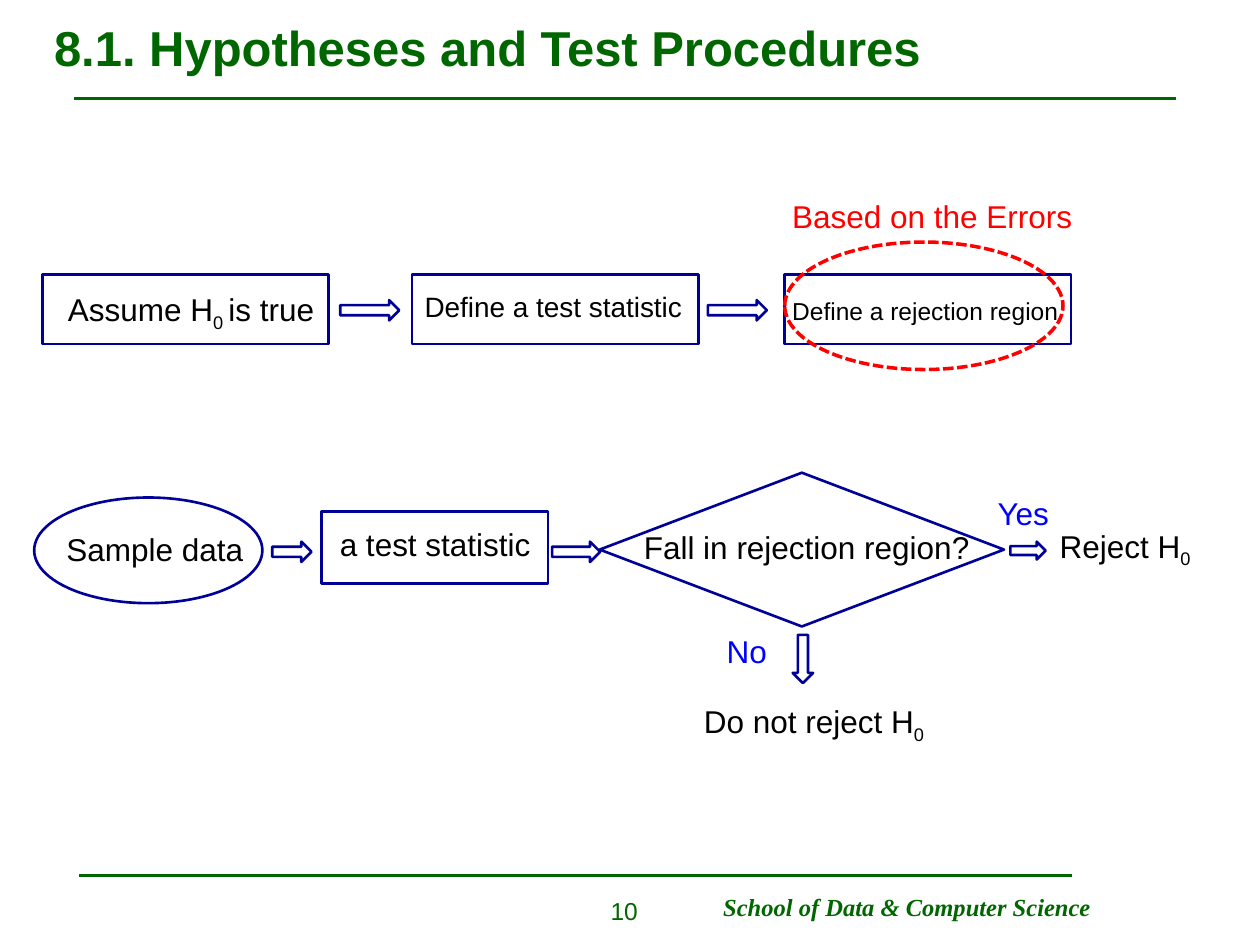
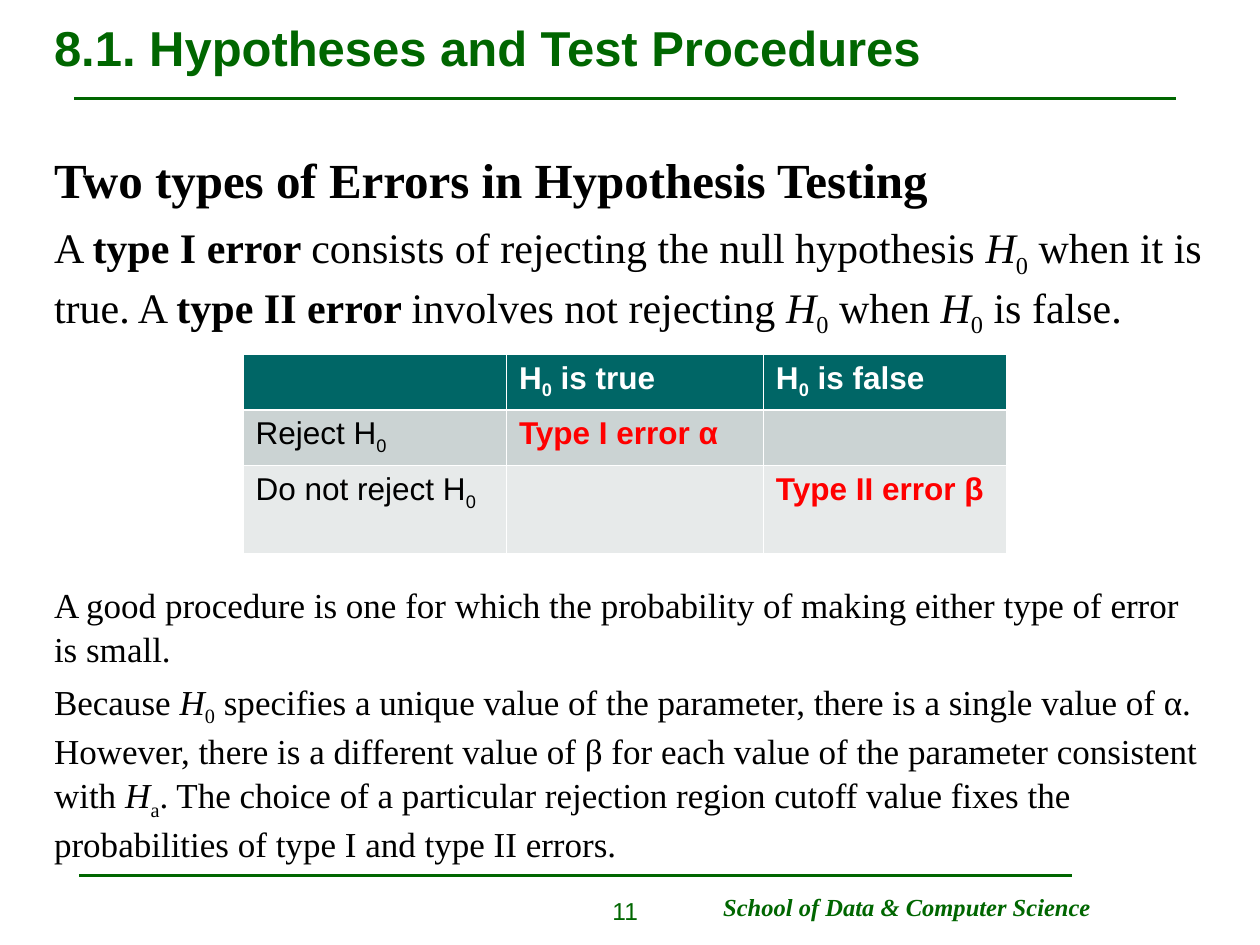
from dataclasses import dataclass
from lxml.etree import SubElement as Sub
from pptx import Presentation
from pptx.dml.color import RGBColor as RGB
from pptx.enum.dml import MSO_LINE as Dash
from pptx.enum.shapes import MSO_CONNECTOR as Conn, MSO_SHAPE as Kind
from pptx.enum.text import MSO_ANCHOR as Anchor, PP_ALIGN as Align
from pptx.oxml.ns import qn
from pptx.util import Cm, Pt


@dataclass(frozen=True)
class Theme:
    green: str = "006600"
    navy: str = "000099"
    blue: str = "0000FF"
    red: str = "FF0000"
    black: str = "000000"
    white: str = "FFFFFF"
    bands: tuple = ("006666", "CBD3D3", "E7EAEA")
    sans: str = "Arial"
    serif: str = "Times New Roman"
    title: int = 28
    lead: int = 24
    body: int = 20
    label: int = 18
    mid: int = 16
    small: int = 14


T = Theme()

# Shared content: a run is (text, marks), with b bold, i italic, s subscript
TITLE = "8.1. Hypotheses and Test Procedures"
SCHOOL = "School of Data & Computer Science"
RULES = [(1.5, 23.7, 1.98), (1.6, 21.62, 17.65)]  # from x, to x, y
H0 = [("H", "i"), ("0", "s")]
SUB = ("0", "s")

# Flow chart: kind, left, top, width, height
NODES = [(Kind.RECTANGLE, x, 5.54, 5.77, 1.4) for x in (0.86, 8.31, 15.82)] + [
    (Kind.OVAL, 0.69, 10.03, 4.6, 2.13),
    (Kind.RECTANGLE, 6.48, 10.31, 4.57, 1.45),
    (Kind.FLOWCHART_DECISION, 12.09, 9.53, 8.15, 3.1),
]
# Arrows: left, top, width, height, turn
ARROWS = [
    (6.86, 6.05, 1.19, 0.41, 0),
    (14.27, 6.05, 1.19, 0.41, 0),
    (5.49, 10.92, 0.79, 0.41, 0),
    (11.13, 10.92, 0.97, 0.41, 0),
    (20.37, 10.92, 0.71, 0.36, 0),
    (15.7, 13.08, 0.97, 0.41, 90),
]
RING = (Kind.OVAL, 15.82, 4.88, 5.61, 2.57)
# Labels: left, top, width, size, colour, runs
LABELS = [
    (1.12, 5.72, 5.5, T.label, T.black, ["Assume H", ("0 ", "s"), "is true"]),
    (8.31, 5.72, 5.8, T.mid, T.black, ["Define a test statistic"]),
    (15.72, 5.84, 6, T.small, T.black, ["Define a rejection region"]),
    (1.09, 10.57, 4.2, T.label, T.black, ["Sample data"]),
    (6.6, 10.46, 4.7, T.label, T.black, ["a test statistic"]),
    (12.73, 10.52, 7.1, T.label, T.black, ["Fall in rejection region?"]),
    (21.11, 10.49, 3.3, T.label, T.black, ["Reject H", SUB]),
    (19.86, 9.83, 1.6, T.label, T.blue, ["Yes"]),
    (14.4, 12.62, 1.4, T.label, T.blue, ["No"]),
    (13.94, 14.02, 5.1, T.label, T.black, ["Do not reject H", SUB]),
    (15.72, 3.84, 6.3, T.label, T.red, ["Based on the Errors"]),
]

# Error types: paragraphs are (size, space before, runs)
INTRO = [
    (T.title, 0, [("Two types of Errors in Hypothesis Testing", "b")]),
    (T.lead, 6, ["A ", ("type I error ", "b"),
                 "consists of rejecting the null hypothesis ", *H0,
                 " when it is true. A ", ("type II error ", "b"),
                 "involves not rejecting ", *H0, " when ", *H0, " is false."]),
]
NOTES = [
    (T.body, 0, ["A good procedure is one for which the probability of making "
                 "either type of error is small."]),
    (T.body, 5, ["Because ", *H0,
                 " specifies a unique value of the parameter, there is a single "
                 "value of α. However, there is a different value of β for each "
                 "value of the parameter consistent with ", ("H", "i"), ("a", "s"),
                 ". The choice of a particular rejection region cutoff value "
                 "fixes the probabilities of type I and type II errors."]),
]
COLS, ROWS = (5.31, 5.18, 4.9), (1.12, 1.12, 1.78)
CELLS = [
    [[], ["H", SUB, " is true"], ["H", SUB, " is false"]],
    [["Reject H", SUB], ["Type I error α"], []],
    [["Do not reject H", SUB], [], ["Type II error β"]],
]


def write(para, runs, color, **look):
    """Fill one paragraph with runs that share a look."""
    for item in runs:
        text, marks = (item, "") if isinstance(item, str) else item
        run = para.add_run()
        run.text = text
        form = {"bold": "b" in marks, "italic": "i" in marks, **look}
        for key, val in form.items():
            setattr(run.font, key, val)
        run.font.color.rgb = RGB.from_string(color)
        if "s" in marks:
            run.font._element.set("baseline", "-25000")


def frame(slide, left, top, width, height, anchor=Anchor.TOP):
    box = slide.shapes.add_textbox(*map(Cm, (left, top, width, height)))
    text = box.text_frame
    text.word_wrap = True
    text.vertical_anchor = anchor
    return text


def block(slide, area, paras):
    text = frame(slide, *area)
    for num, (size, gap, runs) in enumerate(paras):
        para = text.add_paragraph() if num else text.paragraphs[0]
        para.space_before = Pt(gap)
        para.line_spacing = 1.04
        write(para, runs, T.black, name=T.serif, size=Pt(size))


def shape(slide, kind, *area, color=T.navy, width=1.5):
    item = slide.shapes.add_shape(kind, *map(Cm, area))
    item.shadow.inherit = False
    item.fill.background()
    item.line.color.rgb = RGB.from_string(color)
    item.line.width = Pt(width)
    return item


def start(deck, page):
    """Add a slide with its title, rules and footer."""
    slide = deck.slides.add_slide(deck.slide_layouts[6])
    for left, right, y in RULES:
        rule = slide.shapes.add_connector(
            Conn.STRAIGHT, Cm(left), Cm(y), Cm(right), Cm(y))
        rule.line.color.rgb = RGB.from_string(T.green)
        rule.line.width = Pt(1.5)
        Sub(rule._element.spPr, qn("a:effectLst"))
    head = frame(slide, 0.84, 0.08, 23.72, 1.73, Anchor.MIDDLE)
    write(head.paragraphs[0], [TITLE], T.green,
          name=T.sans, size=Pt(T.title), bold=True)
    para = frame(slide, 10.52, 17.93, 2.59, 0.91).paragraphs[0]
    para.alignment = Align.RIGHT
    write(para, [str(page)], T.green, name=T.sans, size=Pt(T.small))
    foot = frame(slide, 14.33, 17.86, 8.2, 0.86)
    write(foot.paragraphs[0], [SCHOOL], T.green,
          name=T.serif, size=Pt(T.small), bold=True, italic=True)
    return slide


def border(cell, row):
    """Draw white cell edges, thicker under the header."""
    for side in "LRTB":
        thick = (row, side) in ((0, "B"), (1, "T"))
        line = Sub(cell._tc.get_or_add_tcPr(), qn(f"a:ln{side}"),
                   w=str(Pt(1.47 if thick else 0.45)))
        Sub(Sub(line, qn("a:solidFill")), qn("a:srgbClr"), val=T.white)


def grid(slide):
    table = slide.shapes.add_table(
        len(ROWS), len(COLS), Cm(4.9), Cm(7.14), Cm(sum(COLS)), Cm(sum(ROWS))).table
    for col, width in zip(table.columns, COLS):
        col.width = Cm(width)
    for r, (row, height) in enumerate(zip(CELLS, ROWS)):
        table.rows[r].height = Cm(height)
        for c, runs in enumerate(row):
            cell = table.cell(r, c)
            border(cell, r)
            cell.fill.solid()
            cell.fill.fore_color.rgb = RGB.from_string(T.bands[r])
            color = T.white if r == 0 else T.red if c else T.black
            write(cell.text_frame.paragraphs[0], runs, color,
                  name=T.sans, size=Pt(T.label), bold=r == 0 or c > 0)


def main():
    deck = Presentation()
    deck.slide_width, deck.slide_height = Cm(25.4), Cm(19.05)

    # Test procedure flow
    flow = start(deck, 10)
    for node in NODES:
        shape(flow, *node)
    for *area, turn in ARROWS:
        shape(flow, Kind.RIGHT_ARROW, *area).rotation = turn
    ring = shape(flow, *RING, color=T.red, width=2)
    ring.line.dash_style = Dash.SQUARE_DOT
    for left, top, width, size, color, runs in LABELS:
        text = frame(flow, left, top, width, 1.02)
        write(text.paragraphs[0], runs, color, name=T.sans, size=Pt(size))

    # Error types
    errors = start(deck, 11)
    block(errors, (0.84, 2.85, 23.72, 4), INTRO)
    block(errors, (0.84, 11.61, 23.72, 5.8), NOTES)
    grid(errors)

    deck.save("out.pptx")


if __name__ == "__main__":
    main()
